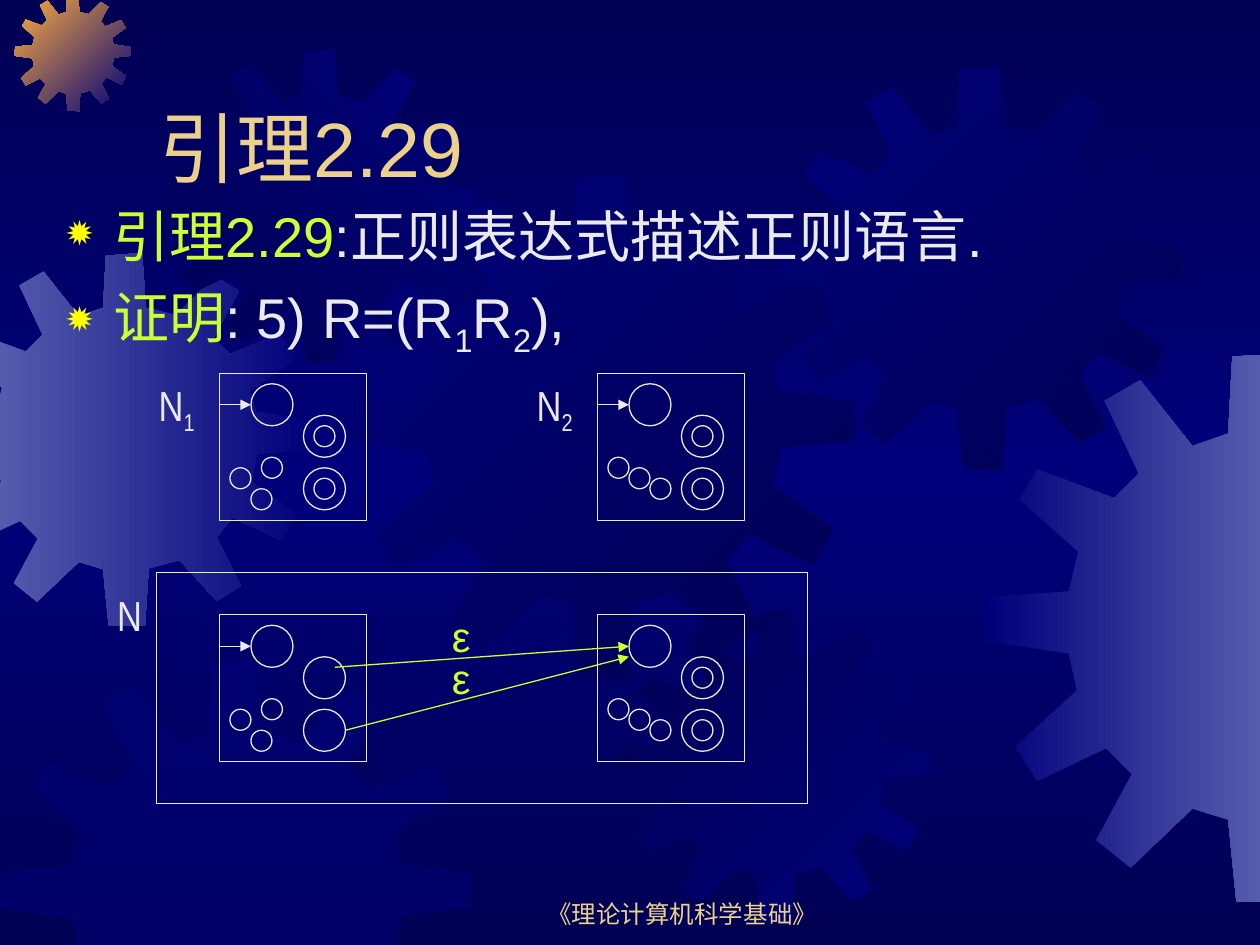
import copy

import pptx
import pptx.dml.color
import pptx.enum.shapes
import pptx.enum.text
import pptx.oxml.ns
import pptx.util
from lxml import etree

Cm = pptx.util.Cm
Pt = pptx.util.Pt
RGBColor = pptx.dml.color.RGBColor
SHAPE = pptx.enum.shapes.MSO_SHAPE
ANCHOR = pptx.enum.text.MSO_ANCHOR
ALIGN = pptx.enum.text.PP_ALIGN
qn = pptx.oxml.ns.qn

NIGHT = RGBColor(0x00, 0x00, 0x54)
NAVY = RGBColor(0x00, 0x00, 0x7A)
LAVENDER = RGBColor(0x55, 0x5B, 0xAD)
ORANGE = RGBColor(0xFC, 0xAB, 0x40)
SAND = RGBColor(0xEB, 0xD1, 0x89)
LIME = RGBColor(0xCC, 0xFF, 0x33)
PALE = RGBColor(0xEA, 0xEA, 0xEA)

WIDTH, HEIGHT = Cm(25.4), Cm(19.05)

# Outline of a full gear, in a square of GEAR_SIZE units
GEAR_SIZE = 401
GEAR = [
    (255, 67), (223, 59), (219, 0), (180, 3), (177, 59), (151, 68),
    (113, 20), (87, 35), (112, 88), (94, 106), (38, 85), (25, 107),
    (68, 145), (61, 174), (1, 178), (0, 210), (61, 219), (67, 246),
    (22, 287), (38, 312), (88, 288), (107, 307), (81, 355), (106, 375),
    (151, 332), (177, 340), (183, 400), (222, 401), (226, 339), (259, 330),
    (299, 374), (325, 358), (299, 306), (316, 284), (368, 309), (384, 281),
    (336, 246), (342, 216), (401, 210), (400, 180), (341, 171), (335, 148),
    (383, 114), (367, 87), (313, 109), (296, 91), (323, 41), (297, 25),
]

# Small plain states of the two automata, in grid steps from their frame
STATES_1 = [(4, 8), (1, 9), (3, 11)]
STATES_2 = [(3, 9), (1, 8), (5, 10)]


def grid(steps):
    """Length of a number of diagram grid steps, twelve to the inch."""
    return Cm(steps * 2.54 / 12)


def clip(points, axis, limit, side):
    """Keep the part of a polygon where side * (coordinate - limit) >= 0."""
    kept = []
    for start, end in zip(points, points[1:] + points[:1]):
        a, b = (side * (point[axis] - limit) for point in (start, end))
        if a >= 0:
            kept.append(start)
        if a * b < 0:
            share = a / (a - b)
            kept.append(tuple(p + share * (q - p) for p, q in zip(start, end)))
    return kept


def set_gradient(fill, colors, angle):
    fill.gradient()
    fill.gradient_angle = (360 - angle) % 360
    stops = fill.gradient_stops
    if len(colors) > len(stops):
        last = stops[-1]._gs
        last.addnext(copy.deepcopy(last))
        stops = fill.gradient_stops
    for index, (stop, color) in enumerate(zip(stops, colors)):
        stop.color.rgb = color
        stop.position = index / (len(colors) - 1)


def add_gear(page, left, top, size, colors, angle=0):
    """Gear cut at the slide edges; a single colour is half transparent."""
    scale = Cm(size) / GEAR_SIZE
    points = [(Cm(left) + x * scale, Cm(top) + y * scale) for x, y in GEAR]
    for axis, far in enumerate((WIDTH, HEIGHT)):
        points = clip(clip(points, axis, 0, 1), axis, far, -1)
    points = [(round(x), round(y)) for x, y in points]
    builder = page.shapes.build_freeform(*points[0], scale=1.0)
    builder.add_line_segments(points[1:], close=True)
    gear = builder.convert_to_shape()
    gear.shadow.inherit = False
    gear.line.fill.background()
    if len(colors) > 1:
        set_gradient(gear.fill, colors, angle)
    else:
        gear.fill.solid()
        gear.fill.fore_color.rgb = colors[0]
        color = gear._element.spPr.find(".//" + qn("a:srgbClr"))
        etree.SubElement(color, qn("a:alpha"), val="50000")


def add_outline(page, kind, x, y, width, height):
    shape = page.shapes.add_shape(kind, grid(x), grid(y), grid(width), grid(height))
    shape.shadow.inherit = False
    shape.fill.background()
    shape.line.color.rgb = PALE
    shape.line.width = Pt(0.75)


def add_arrow(page, x1, y1, x2, y2, color):
    arrow = page.shapes.add_connector(
        pptx.enum.shapes.MSO_CONNECTOR.STRAIGHT, grid(x1), grid(y1), grid(x2), grid(y2))
    arrow.line.color.rgb = color
    arrow.line.width = Pt(0.75)
    etree.SubElement(arrow.line._get_or_add_ln(), qn("a:tailEnd"), type="triangle")
    etree.SubElement(arrow._element.spPr, qn("a:effectLst"))


def add_automaton(page, x, y, states, start=True, accepting=True):
    add_outline(page, SHAPE.RECTANGLE, x, y, 14, 14)
    for dx, dy in [(3, 1), (8, 4), (8, 9)]:
        add_outline(page, SHAPE.OVAL, x + dx, y + dy, 4, 4)
    inner = [(9, 5), (9, 10)] if accepting else []
    for dx, dy in inner + states:
        add_outline(page, SHAPE.OVAL, x + dx, y + dy, 2, 2)
    if start:
        add_arrow(page, x, y + 3, x + 3, y + 3, PALE)


def add_text_box(page, left, top, width, height, anchor=ANCHOR.TOP):
    box = page.shapes.add_textbox(Cm(left), Cm(top), Cm(width), Cm(height))
    box.text_frame.word_wrap = True
    box.text_frame.vertical_anchor = anchor
    return box.text_frame


def write(para, spans, size, font="Arial"):
    """Fill a paragraph with (text, colour) spans; digits after _ are lowered."""
    para.font.size = Pt(size)
    para.font.name = font
    for text, color in spans:
        for index, piece in enumerate(text.split("_")):
            parts = [(piece, False)] if index == 0 else [(piece[0], True), (piece[1:], False)]
            for words, lowered in parts:
                if words:
                    span = para.add_run()
                    span.text = words
                    span.font.color.rgb = color
                    if lowered:
                        span._r.get_or_add_rPr().set("baseline", "-25000")


def add_label(page, left, top, text, color=PALE, font="Arial Narrow"):
    frame = add_text_box(page, left, top, 1.27, 1.27)
    frame.auto_size = pptx.enum.text.MSO_AUTO_SIZE.SHAPE_TO_FIT_TEXT
    para = frame.paragraphs[0]
    para.space_before = Pt(15)
    write(para, [(text, color)], 24, font)


def add_bullet(para):
    para.space_before = Pt(8)
    props = para._p.get_or_add_pPr()
    props.set("marL", str(Cm(0.95)))
    props.set("indent", str(-Cm(0.95)))
    color = etree.Element(qn("a:buClr"))
    etree.SubElement(color, qn("a:srgbClr"), val="FFFF00")
    size = etree.Element(qn("a:buSzPct"), val="80000")
    char = etree.Element(qn("a:buChar"), char="✹")
    place = props.index(props.find(qn("a:spcBef"))) + 1
    props[place:place] = [color, size, char]


def main():
    deck = pptx.Presentation()
    deck.slide_width, deck.slide_height = WIDTH, HEIGHT
    page = deck.slides.add_slide(deck.slide_layouts[6])

    # Background and gears
    set_gradient(page.background.fill, [NIGHT, NAVY, NIGHT], 90)
    add_gear(page, -1.24, 5.1, 7.52, [LAVENDER, NAVY])
    add_gear(page, 0.3, -0.1, 2.34, [ORANGE, NAVY], 45)
    add_gear(page, 3.3, 1, 6.3, [NIGHT, NAVY], 315)
    add_gear(page, 7.04, 3.53, 10.2, [NAVY, NIGHT], 45)
    add_gear(page, 0, 13.34, 9.5, [NAVY])
    add_gear(page, 12.47, 12.3, 6.3, [NIGHT, NAVY], 45)
    add_gear(page, 15.7, 1.35, 8.13, [NAVY, NIGHT], 45)
    add_gear(page, 19.86, 7.11, 11.1, [NAVY, LAVENDER])

    # Footer and title
    footer = add_text_box(page, 9.73, 17.58, 8.05, 1.27, ANCHOR.BOTTOM).paragraphs[0]
    footer.alignment = ALIGN.CENTER
    write(footer, [("《理论计算机科学基础》", SAND)], 14)
    title = add_text_box(page, 2.97, 0.84, 21.59, 3.18, ANCHOR.BOTTOM)
    write(title.paragraphs[0], [("引理2.29", SAND)], 44)

    # Lemma and proof
    body = add_text_box(page, 1.09, 3.94, 21.59, 3.81)
    lemma, proof = body.paragraphs[0], body.add_paragraph()
    write(lemma, [("引理2.29", LIME), (":正则表达式描述正则语言.", PALE)], 32)
    write(proof, [("证明", LIME), (": 5) R=(R_1R_2),", PALE)], 32)
    add_bullet(lemma)
    add_bullet(proof)

    # Separate automata above, joined automaton below
    left, right, upper, lower = 20.9, 56.9, 35.55, 58.55
    add_automaton(page, left, upper, STATES_1)
    add_automaton(page, right, upper, STATES_2)
    add_automaton(page, left, lower, STATES_1, accepting=False)
    add_automaton(page, right, lower, STATES_2, start=False)
    add_outline(page, SHAPE.RECTANGLE, left - 6, lower - 4, 62, 22)
    add_arrow(page, left + 11, lower + 5, right + 3, lower + 3, LIME)
    add_arrow(page, left + 12, lower + 11, right + 3, lower + 4, LIME)

    # Labels
    add_label(page, 2.95, 7.52, "N_1")
    add_label(page, 10.57, 7.52, "N_2")
    add_label(page, 2.11, 11.76, "N")
    for top in (12.19, 13.03):
        add_label(page, 8.86, top, "ε", LIME, "Arial")

    deck.save("out.pptx")


if __name__ == "__main__":
    main()
